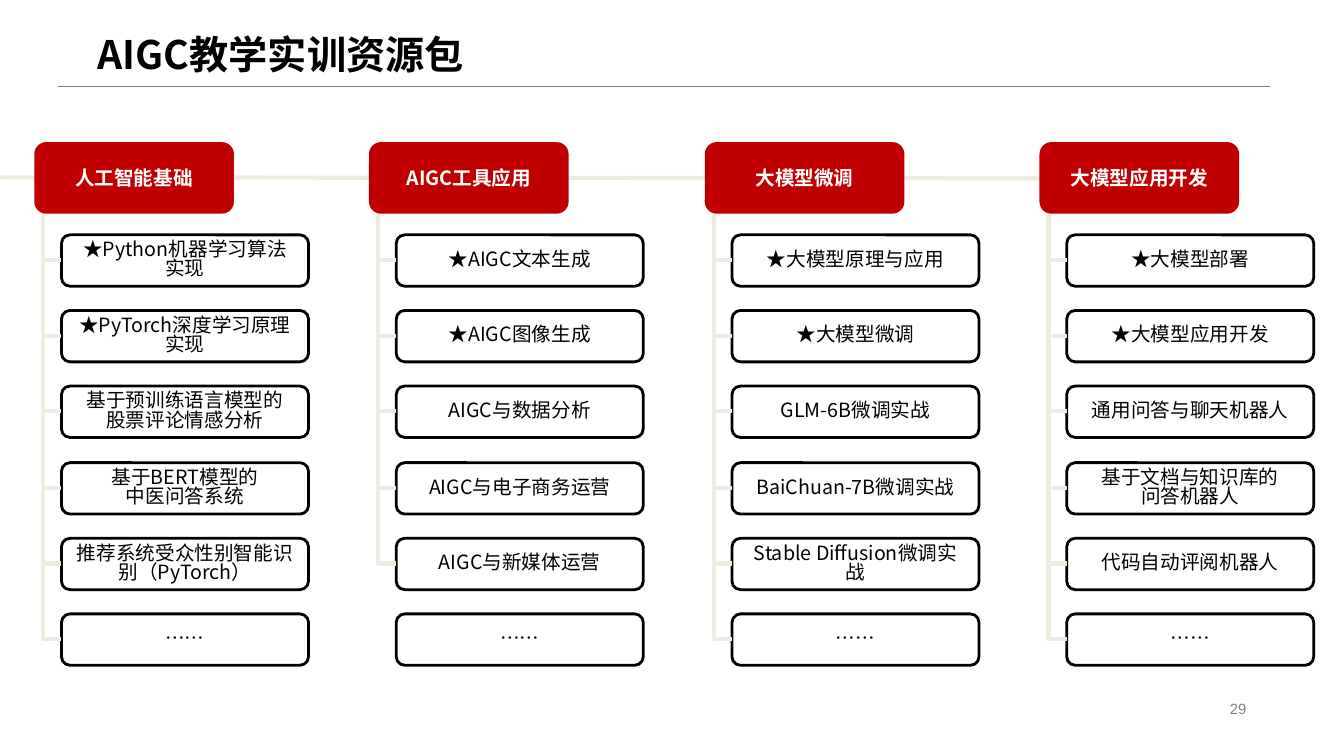
from pptx import Presentation
from pptx.dml.color import RGBColor
from pptx.enum.shapes import MSO_CONNECTOR as CONNECTOR, MSO_SHAPE as SHAPE
from pptx.enum.text import MSO_ANCHOR as ANCHOR, PP_ALIGN as ALIGN
from pptx.oxml.ns import qn
from pptx.oxml.xmlchemy import OxmlElement
from pptx.util import Pt

EMU_PER_PX = 9144
COLORS = {
    "header": "C00000",
    "branch": "EEECE1",
    "rule": "7E7E7E",
    "number": "7F7F7F",
    "ink": "000000",
    "white": "FFFFFF",
}
FONT = "Noto Sans CJK SC"
HEADER_TOP, HEADER_WIDTH, HEADER_HEIGHT = 141, 198, 71
TOPIC_WIDTH, TOPIC_HEIGHT, TOPIC_INDENT = 245, 51, 27
BRANCH_INDENT, BRANCH_TOP = 9, 204
FIRST_COLUMN, LAST_COLUMN = 34, 1031
FIRST_ROW, LAST_ROW = 233, 609

COURSES = [
    ("人工智能基础", 6, [
        "★Python机器学习算法实现",
        "★PyTorch深度学习原理实现",
        "基于预训练语言模型的\n股票评论情感分析",
        "基于BERT模型的\n中医问答系统",
        "推荐系统受众性别智能识别（PyTorch）",
        "……",
    ]),
    ("AIGC工具应用", 5, [
        "★AIGC文本生成",
        "★AIGC图像生成",
        "AIGC与数据分析",
        "AIGC与电子商务运营",
        "AIGC与新媒体运营",
        "……",
    ]),
    ("大模型微调", 6, [
        "★大模型原理与应用",
        "★大模型微调",
        "GLM-6B微调实战",
        "BaiChuan-7B微调实战",
        "Stable Diffusion微调实战",
        "……",
    ]),
    ("大模型应用开发", 6, [
        "★大模型部署",
        "★大模型应用开发",
        "通用问答与聊天机器人",
        "基于文档与知识库的\n问答机器人",
        "代码自动评阅机器人",
        "……",
    ]),
]


def px(*lengths):
    return [length * EMU_PER_PX for length in lengths]


def color(name):
    return RGBColor.from_string(COLORS[name])


def spread(first, last, count):
    return [round(first + (last - first) * i / (count - 1)) for i in range(count)]


def write(frame, text, size, ink, bold=False, align=ALIGN.CENTER, font=FONT, spacing=None):
    frame.word_wrap = True
    frame.vertical_anchor = ANCHOR.MIDDLE
    for index, line in enumerate(text.split("\n")):
        paragraph = frame.add_paragraph() if index else frame.paragraphs[0]
        paragraph.alignment = align
        paragraph.line_spacing = spacing
        run = paragraph.add_run()
        run.text = line
        run.font.name = font
        run.font.size = Pt(size)
        run.font.bold = bold
        run.font.color.rgb = color(ink)
        east_asian = OxmlElement("a:ea")
        east_asian.set("typeface", font)
        run.font._element.find(qn("a:latin")).addnext(east_asian)


def add_line(slide, kind, start, end, ink, width):
    line = slide.shapes.add_connector(kind, *px(*start, *end))
    line.line.color.rgb = color(ink)
    line.line.width = Pt(width)
    line.element.spPr.append(OxmlElement("a:effectLst"))
    return line


def add_branch(slide, start, end):
    branch = add_line(slide, CONNECTOR.ELBOW, start, end, "branch", 3)
    branch.element.spPr.find(qn("a:prstGeom")).set("prst", "bentConnector2")


def add_box(slide, left, top, width, height):
    shape = slide.shapes.add_shape(SHAPE.ROUNDED_RECTANGLE, *px(left, top, width, height))
    shape.shadow.inherit = False
    return shape


def add_header(slide, left, text):
    shape = add_box(slide, left, HEADER_TOP, HEADER_WIDTH, HEADER_HEIGHT)
    shape.fill.solid()
    shape.fill.fore_color.rgb = color("header")
    shape.line.fill.background()
    write(shape.text_frame, text, 14, "white", bold=True)


def add_topic(slide, left, top, text):
    shape = add_box(slide, left, top, TOPIC_WIDTH, TOPIC_HEIGHT)
    shape.fill.background()
    shape.line.color.rgb = color("ink")
    shape.line.width = Pt(2)
    write(shape.text_frame, text, 14, "ink", spacing=0.82)


def add_course(slide, left, name, branch_count, topics):
    topic_left = left + TOPIC_INDENT
    for row, (top, topic) in enumerate(zip(spread(FIRST_ROW, LAST_ROW, len(topics)), topics)):
        add_topic(slide, topic_left, top, topic)
        if row < branch_count:
            middle = top + TOPIC_HEIGHT // 2
            add_branch(slide, (topic_left, middle), (left + BRANCH_INDENT, BRANCH_TOP))
    add_header(slide, left, name)


def add_title(slide, text):
    title = slide.shapes.title
    title.left, title.top, title.width, title.height = px(87, 24, 945, 59)
    write(title.text_frame, text, 28, "ink", bold=True, align=ALIGN.LEFT)


def add_page_number(slide, number):
    box = slide.shapes.add_textbox(*px(1197, 690, 62, 25))
    write(box.text_frame, number, 10.6, "number", font="Arial")


def main():
    presentation = Presentation()
    presentation.slide_width, presentation.slide_height = px(1333, 750)
    slide = presentation.slides.add_slide(presentation.slide_layouts[5])
    add_page_number(slide, "29")
    add_line(slide, CONNECTOR.STRAIGHT, (58, 86), (1260, 86), "rule", 0.25)
    add_title(slide, "AIGC教学实训资源包")
    add_line(slide, CONNECTOR.STRAIGHT, (0, 176), (1223, 177), "branch", 3)
    for left, course in zip(spread(FIRST_COLUMN, LAST_COLUMN, len(COURSES)), COURSES):
        add_course(slide, left, *course)
    presentation.save("out.pptx")


if __name__ == "__main__":
    main()
